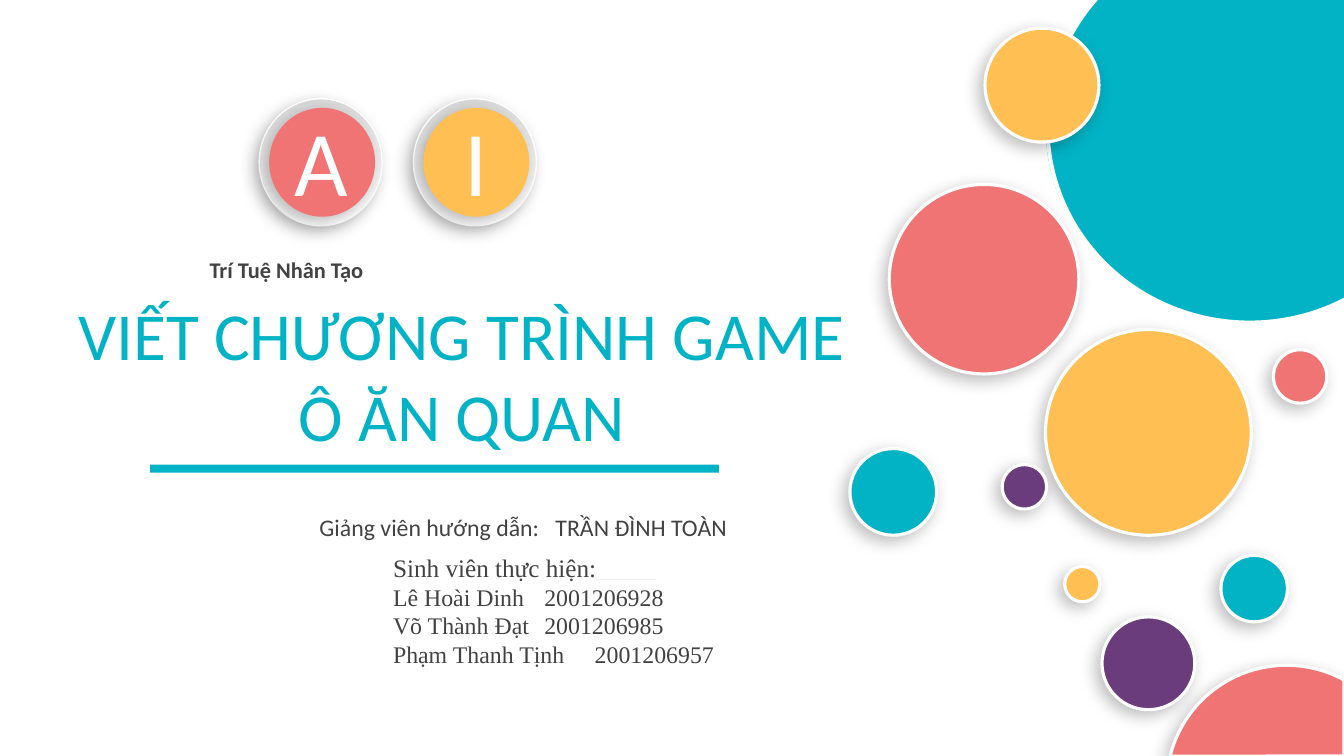
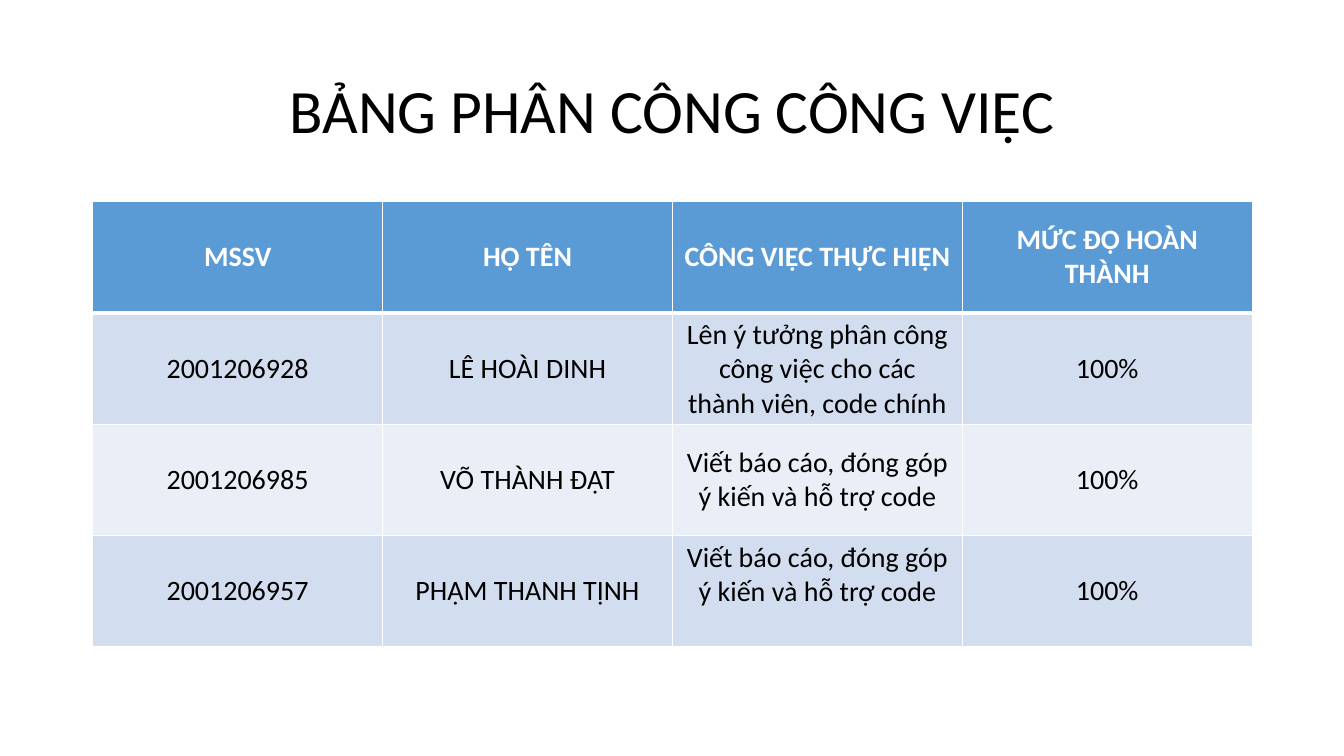
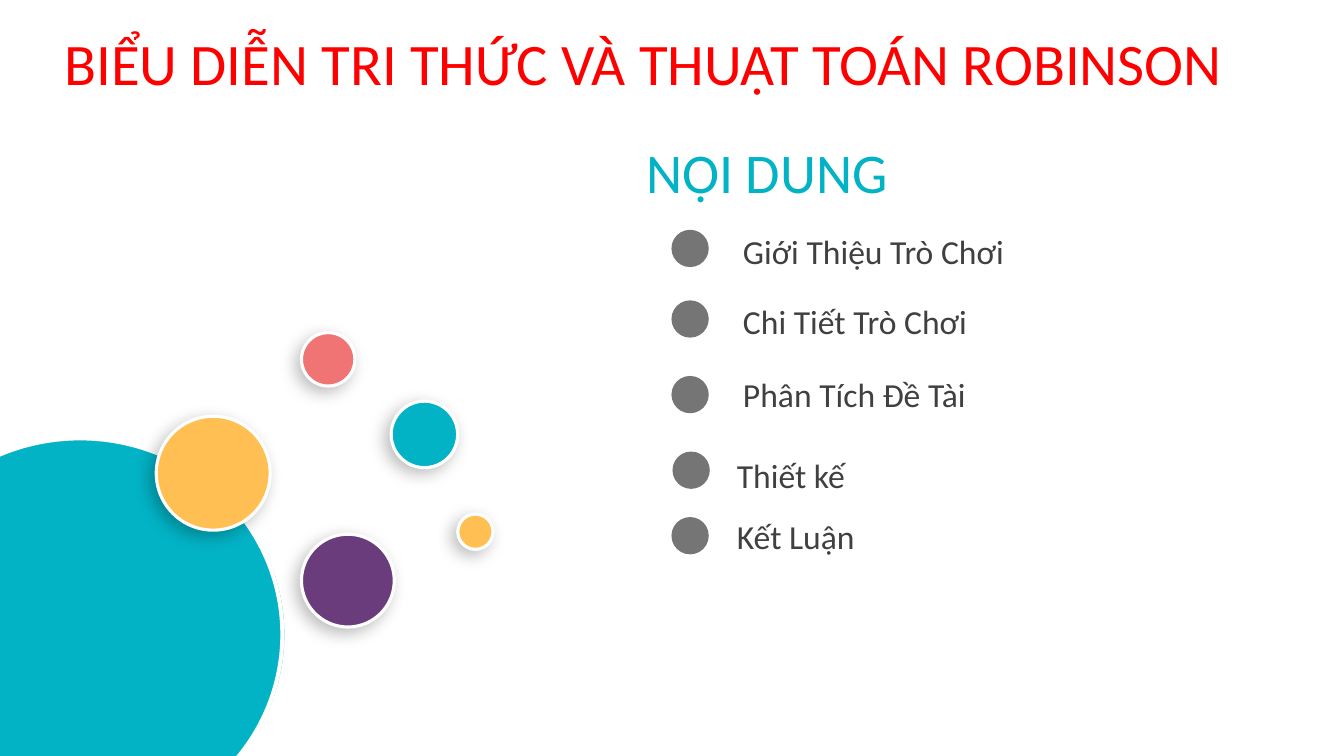
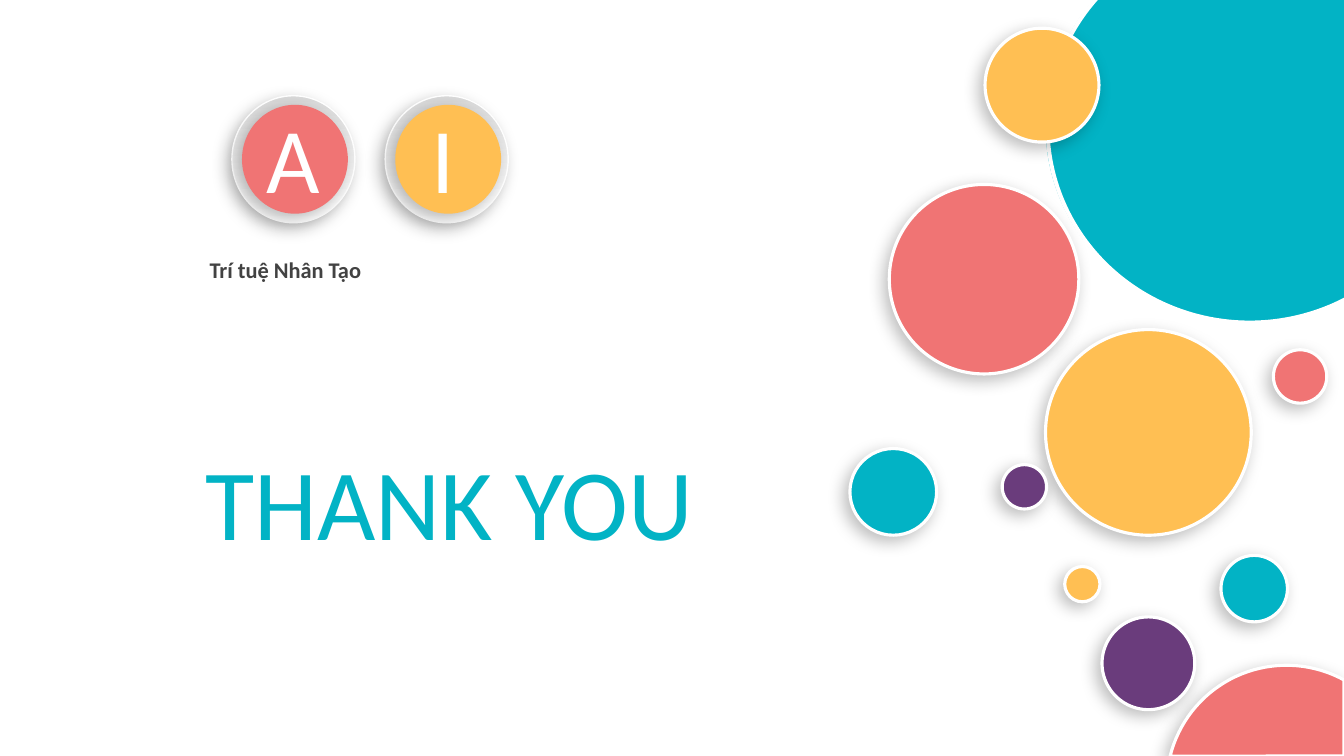
from dataclasses import dataclass, replace
from math import cos, radians, sin

from lxml import etree
from pptx import Presentation
from pptx.dml.color import RGBColor
from pptx.enum.shapes import MSO_SHAPE
from pptx.enum.text import MSO_ANCHOR, MSO_AUTO_SIZE, PP_ALIGN
from pptx.oxml.ns import qn
from pptx.util import Emu, Inches, Pt

ELLIPSE, DONUT, RECTANGLE = MSO_SHAPE.OVAL, MSO_SHAPE.DONUT, MSO_SHAPE.RECTANGLE
LEFT, CENTER, JUSTIFY = PP_ALIGN.LEFT, PP_ALIGN.CENTER, PP_ALIGN.JUSTIFY
TOP, MIDDLE = MSO_ANCHOR.TOP, MSO_ANCHOR.MIDDLE
FIT_SHAPE = MSO_AUTO_SIZE.SHAPE_TO_FIT_TEXT

COLOURS = {
    "white": "FFFFFF", "black": "000000", "red": "FF0000",
    "teal": "02B3C5", "amber": "FFBF53", "coral": "F07474", "purple": "6A3C7C",
    "silver": "D9D9D9", "mist": "F2F2F2", "ink": "424242", "charcoal": "404040",
    "header": "5B9BD5", "band_dark": "D2DEEF", "band_light": "EAEFF7",
}
PAGE_WIDTH, PAGE_HEIGHT = 13.33, 7.5


@dataclass(frozen=True)
class Style:
    """How a piece of text looks."""
    size: float
    colour: str
    align: PP_ALIGN = LEFT
    bold: bool = False
    font: str = "Calibri"


@dataclass(frozen=True)
class Bubble:
    """A round decoration with a white rim."""
    left: float
    top: float
    size: float
    colour: str


@dataclass(frozen=True)
class Badge:
    """A letter on a coloured disc in a silver ring."""
    left: float
    top: float
    letter: str
    colour: str
    letter_left: float
    align: PP_ALIGN = LEFT


@dataclass(frozen=True)
class Topic:
    """A line of the contents with its dot."""
    text: str
    left: float
    top: float
    dot_left: float
    dot_top: float


LETTER = Style(66, "white")
SUBJECT = Style(16, "ink", JUSTIFY, bold=True)
COVER_TITLE = Style(48, "teal", CENTER)
TEACHER = Style(17, "ink", JUSTIFY)
STUDENT = Style(17, "ink", JUSTIFY, font="Times New Roman")
TABLE_TITLE = Style(44, "black", CENTER)
TABLE_HEAD = Style(20, "white", CENTER, bold=True)
TABLE_BODY = Style(20, "black", CENTER)
TOPIC = Style(24, "charcoal")

COVER_BUBBLES = [
    Bubble(10.37, 3.27, 2.04, "amber"), Bubble(8.82, 1.83, 1.88, "coral"),
    Bubble(10.93, 6.12, 0.92, "purple"), Bubble(12.11, 5.51, 0.66, "teal"),
    Bubble(9.77, 0.28, 1.13, "amber"), Bubble(12.63, 3.47, 0.53, "coral"),
    Bubble(10.56, 5.62, 0.35, "amber"), Bubble(8.43, 4.45, 0.86, "teal"),
    Bubble(9.94, 4.61, 0.44, "purple"),
]
CONTENTS_BUBBLES = [
    Bubble(2.99, 5.3, 0.92, "purple"), Bubble(3.88, 3.98, 0.66, "teal"),
    Bubble(1.55, 4.13, 1.13, "amber"), Bubble(2.99, 3.3, 0.53, "coral"),
    Bubble(4.54, 5.1, 0.35, "amber"),
]
COVER_BADGES = [
    Badge(2.57, 0.98, "A", "coral", 2.82),
    Badge(4.1, 0.98, "I", "amber", 4.4, CENTER),
]
CLOSING_BADGES = [
    Badge(2.3, 0.95, "A", "coral", 2.55),
    Badge(3.82, 0.95, "I", "amber", 4.18),
]
TOPICS = [
    Topic("Giới Thiệu Trò Chơi", 7.27, 2.24, 6.66, 2.28),
    Topic("Chi Tiết Trò Chơi", 7.27, 2.94, 6.66, 2.98),
    Topic("Phân Tích Đề Tài", 7.27, 3.66, 6.66, 3.73),
    Topic("Thiết kế", 7.21, 4.46, 6.67, 4.48),
    Topic("Kết Luận", 7.21, 5.07, 6.66, 5.13),
]
TASKS = [
    ["MSSV", "HỌ TÊN", "CÔNG VIỆC THỰC HIỆN", "MỨC ĐỘ HOÀN THÀNH"],
    ["2001206928", "LÊ HOÀI DINH",
     "Lên ý tưởng phân công công việc cho các thành viên, code chính", "100%"],
    ["2001206985", "VÕ THÀNH ĐẠT", "Viết báo cáo, đóng góp ý kiến và hỗ trợ code", "100%"],
    ["2001206957", "PHẠM THANH TỊNH", "Viết báo cáo, đóng góp ý kiến và hỗ trợ code", "100%"],
]


def rgb(name: str) -> RGBColor:
    """Look up a named colour."""
    return RGBColor.from_string(COLOURS[name])


def format_run(span, style: Style) -> None:
    """Apply a style to one run."""
    span.font.name = style.font
    span.font.size = Pt(style.size)
    span.font.bold = style.bold
    span.font.color.rgb = rgb(style.colour)


def fill_text(frame, lines: list[str], style: Style) -> None:
    """Write one paragraph per line in one style."""
    frame.text = "\n".join(lines)
    for para in frame.paragraphs:
        para.alignment = style.align
        for span in para.runs:
            format_run(span, style)


def add_text(shapes, left: float, top: float, width: float, height: float,
             lines: list[str], style: Style, anchor: MSO_ANCHOR = TOP):
    """Add a wrapping text box and return its text frame."""
    box = shapes.add_textbox(Inches(left), Inches(top), Inches(width), Inches(height))
    frame = box.text_frame
    frame.word_wrap = True
    frame.vertical_anchor = anchor
    if anchor == TOP:
        frame.auto_size = FIT_SHAPE
    fill_text(frame, lines, style)
    return frame


def finish(shape, colour: str, rim: float = 0, shadow: bool = False) -> None:
    """Set the fill, white rim and soft shadow of a shape."""
    shape.fill.solid()
    shape.fill.fore_color.rgb = rgb(colour)
    if rim:
        shape.line.color.rgb = rgb("white")
        shape.line.width = Pt(rim)
    else:
        shape.line.fill.background()
    shape.shadow.inherit = False
    if shadow:
        effects = shape._element.spPr.find(qn("a:effectLst"))
        outer = etree.SubElement(effects, qn("a:outerShdw"), blurRad=str(Pt(12)),
                                 dist=str(Pt(5)), dir="8100000", algn="tr", rotWithShape="0")
        tone = etree.SubElement(outer, qn("a:srgbClr"), val=COLOURS["black"])
        etree.SubElement(tone, qn("a:alpha"), val="26000")


def add_shape(shapes, kind: MSO_SHAPE, left: float, top: float, width: float, height: float,
              colour: str, rim: float = 0, shadow: bool = False):
    """Add a finished preset shape."""
    shape = shapes.add_shape(kind, Inches(left), Inches(top), Inches(width), Inches(height))
    finish(shape, colour, rim, shadow)
    return shape


def add_bubbles(page, bubbles: list[Bubble]) -> None:
    """Draw bubbles from back to front."""
    for bubble in bubbles:
        add_shape(page.shapes, ELLIPSE, bubble.left, bubble.top, bubble.size, bubble.size,
                  bubble.colour, rim=2.25, shadow=True)


def add_big_disc(page, left: float, top: float) -> None:
    """Draw the large teal disc with its thin white ring."""
    shapes = page.shapes.add_group_shape().shapes
    add_shape(shapes, ELLIPSE, left, top, 4.05, 3.89, "teal")
    ring = add_shape(shapes, DONUT, left, top - 0.02, 4.05, 3.93, "white")
    ring.adjustments[0] = 0.01


def add_corner_disc(page) -> None:
    """Draw the coral disc cut off by the bottom right corner."""
    center_x, center_y, radius = 12.76, 7.79, 1.19
    arc = [(Inches(center_x + radius * cos(radians(angle))),
            Inches(center_y - radius * sin(radians(angle)))) for angle in range(166, 60, -3)]
    builder = page.shapes.build_freeform(*arc[0])
    edge = Inches(PAGE_WIDTH)
    builder.add_line_segments(arc[1:] + [(edge, Inches(6.75)), (edge, Inches(PAGE_HEIGHT))])
    finish(builder.convert_to_shape(), "coral", rim=2.25, shadow=True)


def add_badge(page, badge: Badge) -> None:
    """Draw a letter badge as a group."""
    shapes = page.shapes.add_group_shape().shapes
    ring = add_shape(shapes, ELLIPSE, badge.left, badge.top, 1.22, 1.26, "white",
                     rim=1, shadow=True)
    ring.fill.gradient()
    ring.fill.gradient_angle = 90
    for stop, colour in zip(ring.fill.gradient_stops, ("white", "silver")):
        stop.color.rgb = rgb(colour)
    for stop, position in zip(ring.fill.gradient_stops, (0, 1)):
        stop.position = position
    add_shape(shapes, ELLIPSE, badge.left + 0.1, badge.top + 0.09, 1.05, 1.08,
              badge.colour, shadow=True)
    add_text(shapes, badge.letter_left, badge.top, 0.64, 1.21, [badge.letter],
             replace(LETTER, align=badge.align))


def add_cover_art(page, badges: list[Badge], subject: str) -> None:
    """Draw what the first and last slides share."""
    add_big_disc(page, 10.37, -0.69)
    add_bubbles(page, COVER_BUBBLES)
    add_corner_disc(page)
    for badge in badges:
        add_badge(page, badge)
    add_text(page.shapes, 1.98, 2.49, 3.68, 0.37, [subject], SUBJECT)


def add_tab_stop(para, position: float) -> None:
    """Give a paragraph one left tab stop."""
    stops = etree.SubElement(para._p.get_or_add_pPr(), qn("a:tabLst"))
    etree.SubElement(stops, qn("a:tab"), pos=str(Inches(position)), algn="l")


def add_borders(cell, bottom: float) -> None:
    """Draw white cell borders, the bottom one in its own width."""
    properties = cell._tc.get_or_add_tcPr()
    for index, (side, width) in enumerate({"L": 1, "R": 1, "T": 1, "B": bottom}.items()):
        border = etree.Element(qn(f"a:ln{side}"), w=str(Pt(width)))
        paint = etree.SubElement(border, qn("a:solidFill"))
        etree.SubElement(paint, qn("a:srgbClr"), val=COLOURS["white"])
        properties.insert(index, border)


def build_cover(page) -> None:
    """Title slide with the people involved."""
    add_cover_art(page, COVER_BADGES, "Trí Tuệ Nhân Tạo")
    add_text(page.shapes, 0.18, 2.86, 8.8, 1.72,
             ["VIẾT CHƯƠNG TRÌNH GAME", "Ô ĂN QUAN"], COVER_TITLE)
    teacher = add_text(page.shapes, 3.07, 5.04, 5.05, 0.39,
                       ["Giảng viên hướng dẫn:\tTRẦN ĐÌNH TOÀN"], TEACHER)
    add_tab_stop(teacher.paragraphs[0], 2.34)
    students = add_text(page.shapes, 3.8, 5.43, 3.87, 1.55,
                        ["Sinh viên thực hiện:", "Lê Hoài Dinh\t2001206928",
                         "Võ Thành Đạt\t2001206985", "Phạm Thanh Tịnh\t2001206957"], STUDENT)
    heading = students.paragraphs[0]
    format_run(heading.runs[0], replace(STUDENT, size=18))
    blank_line = heading.add_run()
    blank_line.text = "_____"
    format_run(blank_line, replace(STUDENT, colour="mist"))
    add_shape(page.shapes, RECTANGLE, 1.49, 4.61, 5.64, 0.08, "teal")


def build_tasks(page) -> None:
    """Table of who did what."""
    title = add_text(page.shapes, 0.92, 0.4, 11.5, 1.45, ["BẢNG PHÂN CÔNG CÔNG VIỆC"],
                     TABLE_TITLE, MIDDLE)
    title.paragraphs[0].line_spacing = 0.9
    table = page.shapes.add_table(len(TASKS), len(TASKS[0]), Inches(0.92), Inches(2),
                                  Inches(11.5), Inches(4.42)).table
    for row, texts in enumerate(TASKS):
        band = "header" if row == 0 else ("band_light", "band_dark")[row % 2]
        for column, text in enumerate(texts):
            cell = table.cell(row, column)
            cell.fill.solid()
            cell.fill.fore_color.rgb = rgb(band)
            cell.vertical_anchor = MIDDLE
            fill_text(cell.text_frame, [text], TABLE_BODY if row else TABLE_HEAD)
            add_borders(cell, bottom=1 if row else 3)
    table.cell(3, 2).margin_bottom = Inches(0.38)


def build_contents(page) -> None:
    """List of topics beside the bubbles."""
    add_big_disc(page, -1.23, 4.35)
    add_bubbles(page, CONTENTS_BUBBLES)
    add_text(page.shapes, 6.31, 1.32, 3.77, 0.77, ["NỘI DUNG"], Style(40, "teal"))
    for topic in TOPICS:
        add_text(page.shapes, topic.left, topic.top, 4.65, 0.5, [topic.text], TOPIC)
        dot = add_shape(page.shapes, ELLIPSE, topic.dot_left, topic.dot_top, 0.37, 0.37,
                        "charcoal")
        tone = dot._element.spPr.find(qn("a:solidFill")).find(qn("a:srgbClr"))
        etree.SubElement(tone, qn("a:alpha"), val="72000")
    add_text(page.shapes, 0.54, 0.22, 12.52, 0.81,
             ["BIỂU DIỄN TRI THỨC VÀ THUẬT TOÁN ROBINSON"], Style(42, "red"))


def build_closing(page) -> None:
    """Closing slide."""
    add_cover_art(page, CLOSING_BADGES, "Trí tuệ Nhân Tạo")
    add_text(page.shapes, 1.94, 4.31, 5.11, 1.31, ["THANK YOU"], Style(72, "teal", JUSTIFY))


def main() -> None:
    """Build and save the deck."""
    deck = Presentation()
    deck.slide_width, deck.slide_height = Emu(Inches(PAGE_WIDTH)), Emu(Inches(PAGE_HEIGHT))
    blank = deck.slide_layouts[6]
    for build in (build_cover, build_tasks, build_contents, build_closing):
        build(deck.slides.add_slide(blank))
    deck.save("out.pptx")


main()
